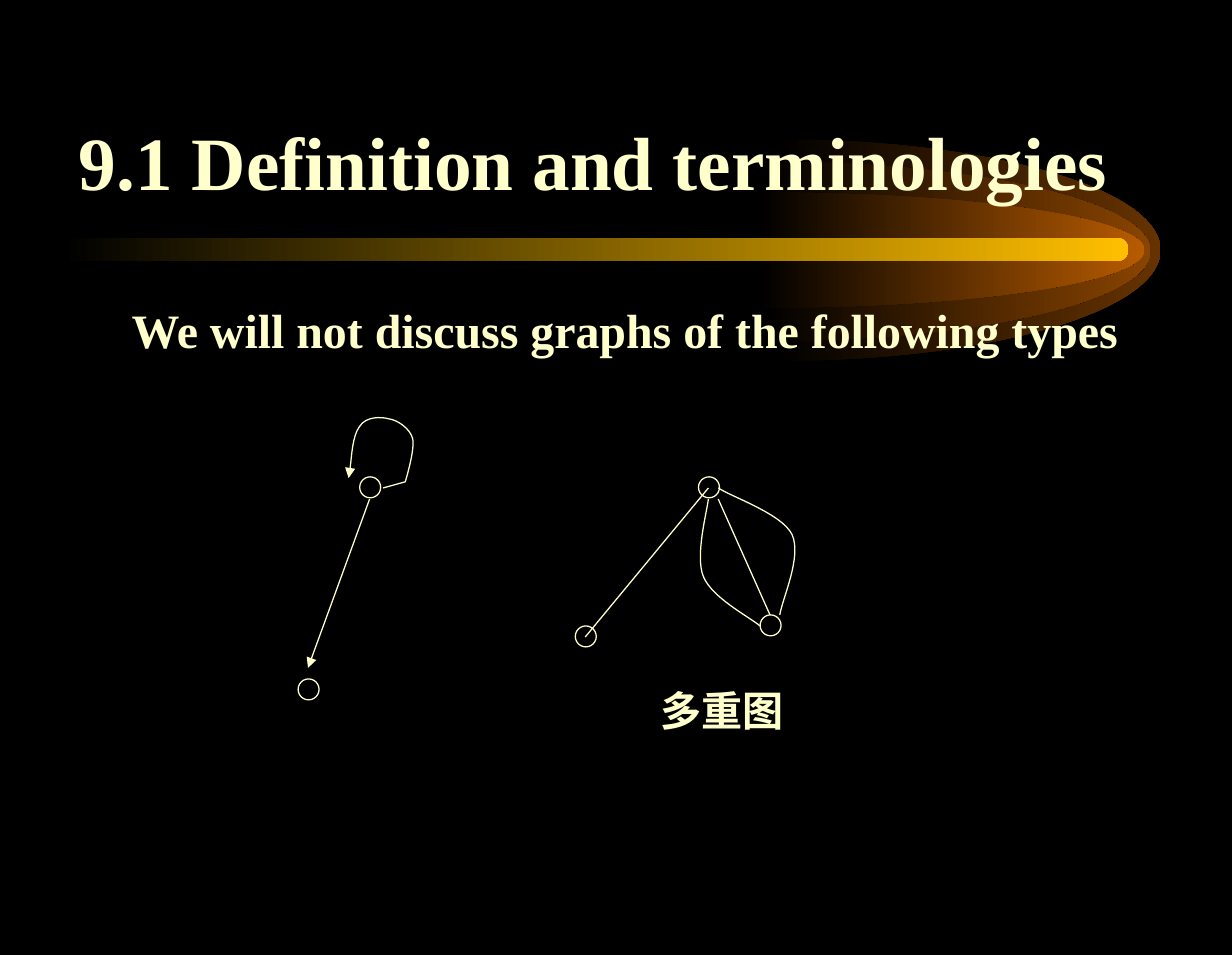
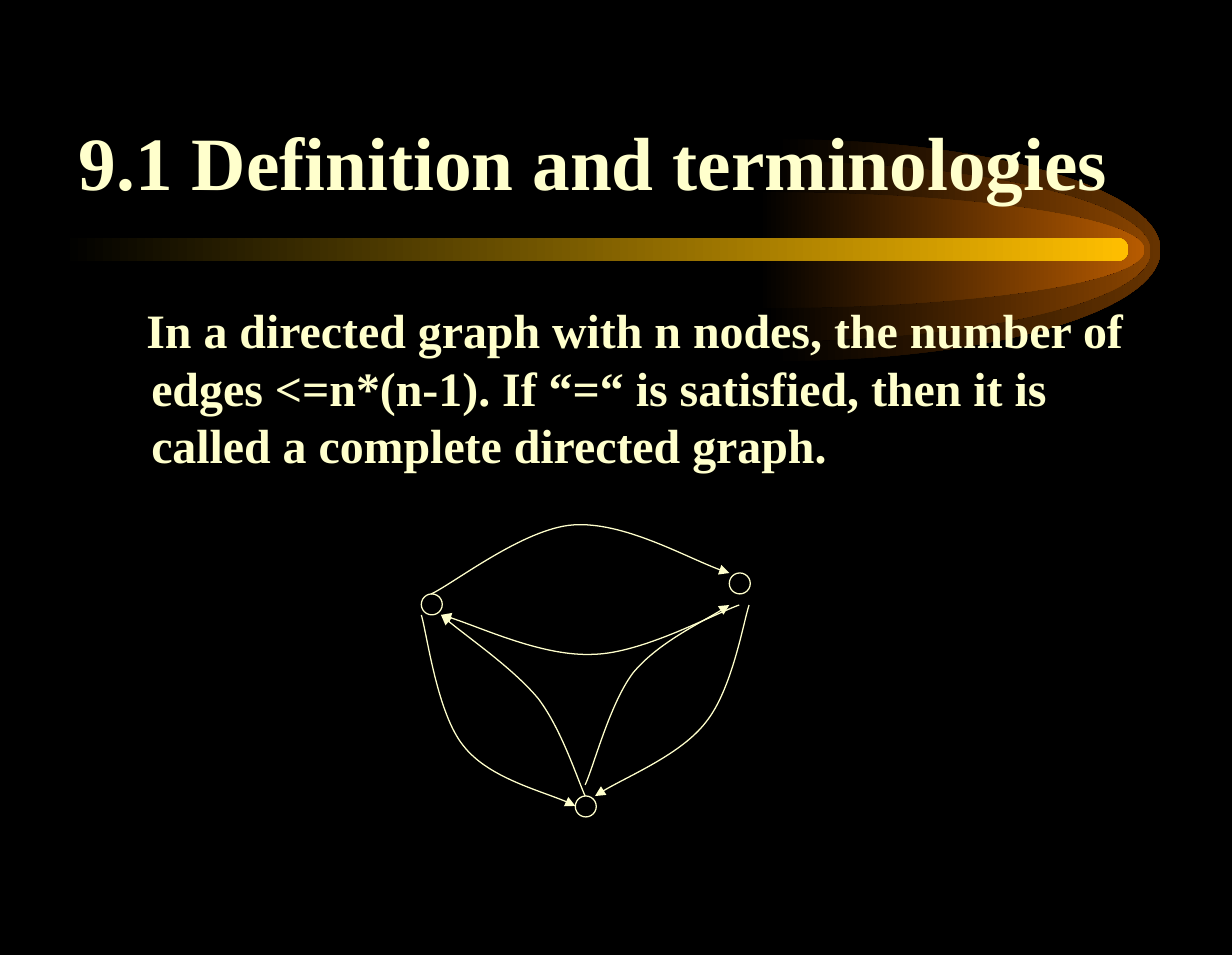
from dataclasses import dataclass

from lxml.etree import SubElement
from pptx import Presentation
from pptx.dml.color import RGBColor
from pptx.enum.shapes import MSO_CONNECTOR, MSO_SHAPE, PP_PLACEHOLDER
from pptx.enum.text import MSO_ANCHOR, MSO_AUTO_SIZE, PP_ALIGN
from pptx.oxml.ns import qn
from pptx.util import Pt

PX = 9144  # EMU per px, 100 px to the inch
NODE_SIZE = 17


@dataclass(frozen=True)
class Theme:
    font: str = "Times New Roman"
    background: RGBColor = RGBColor(0, 0, 0)
    ink: RGBColor = RGBColor(0xFF, 0xFF, 0xCC)
    outer_flame: RGBColor = RGBColor(0x66, 0x33, 0x00)
    middle_flame: RGBColor = RGBColor(0x89, 0x44, 0x00)
    inner_flame: RGBColor = RGBColor(0xB7, 0x5B, 0x00)
    bar: RGBColor = RGBColor(0xFF, 0xBF, 0x00)
    title_size: int = 44
    body_size: int = 28
    body_leading: float = 33.6
    label_size: int = 24
    line_width: float = 0.75


theme = Theme()


def draw_curve(slide, points, close=False):
    """Draw joined cubic Béziers: a start point, then three points per segment."""
    builder = slide.shapes.build_freeform(*points[0], scale=PX)
    builder.add_line_segments(points[1:], close=close)
    shape = builder.convert_to_shape()
    shape.shadow.inherit = False
    segments = list(shape.element.iter(qn("a:lnTo")))
    for curve, *others in zip(segments[::3], segments[1::3], segments[2::3]):
        curve.tag = qn("a:cubicBezTo")
        for other in others:
            curve.append(other[0])
            other.getparent().remove(other)
    return shape


def style_outline(shape, arrow=False):
    shape.line.color.rgb = theme.ink
    shape.line.width = Pt(theme.line_width)
    if arrow:
        SubElement(shape.element.spPr.find(qn("a:ln")), qn("a:tailEnd"), type="triangle")


graph_slides = [
    {
        "body": "We will not discuss graphs of the following types",
        "first_indent": -16,
        "nodes": [(242, 551), (292, 387), (467, 508), (617, 499), (567, 387)],
        "lines": [
            ((300, 405), (250, 542), True),
            ((575, 396), (475, 517), False),
            ((583, 405), (625, 499), False),
        ],
        "curves": [
            ([(311, 396), (311, 396), (329, 391), (329, 391), (329, 391), (337, 365), (335, 356),
              (333, 348), (323, 341), (316, 340), (309, 338), (297, 338), (292, 346),
              (286, 354), (285, 379), (283, 388)], True),
            ([(575, 405), (574, 415), (564, 451), (571, 468),
              (578, 485), (607, 500), (617, 508)], False),
            ([(583, 396), (593, 403), (635, 417), (643, 434),
              (651, 452), (635, 486), (633, 499)], False),
        ],
        "labels": [("多重图", 526, 551, 120, 50)],
    },
    {
        "body": "In a directed graph with n nodes, the number of edges <=n*(n-1). "
                "If “=“ is satisfied, then it is called a complete directed graph.",
        "first_indent": -4,
        "nodes": [(592, 465), (467, 646), (342, 482)],
        "lines": [],
        "curves": [
            ([(350, 482), (369, 473), (425, 429), (465, 426),
              (506, 423), (565, 457), (592, 465)], True),
            ([(600, 491), (580, 498), (522, 530), (482, 531),
              (441, 533), (384, 506), (358, 499)], True),
            ([(342, 499), (347, 517), (355, 579), (376, 605),
              (396, 631), (448, 644), (467, 654)], True),
            ([(475, 646), (469, 633), (456, 592), (437, 567),
              (417, 543), (375, 514), (358, 499)], True),
            ([(475, 637), (482, 622), (495, 571), (514, 546),
              (534, 522), (576, 502), (592, 491)], True),
            ([(608, 491), (603, 507), (594, 560), (573, 586),
              (553, 612), (502, 633), (483, 646)], True),
        ],
        "labels": [],
    },
]

presentation = Presentation()
presentation.slide_width = 1000 * PX
presentation.slide_height = 775 * PX
master_fill = presentation.slide_master.background.fill
master_fill.solid()
master_fill.fore_color.rgb = theme.background

layout = presentation.slide_layouts[5]
for placeholder in list(layout.placeholders):
    if placeholder.placeholder_format.type != PP_PLACEHOLDER.TITLE:
        placeholder.element.getparent().remove(placeholder.element)
slides = [presentation.slides.add_slide(layout) for _ in graph_slides]

# Comet backdrop: drawn once, then moved into the shared layout
backdrop = []
for left, top, half_height, color in (
    (629, 113, 90, theme.outer_flame),
    (621, 131, 73, theme.middle_flame),
    (616, 156, 47, theme.inner_flame),
):
    middle, bottom, right = top + half_height, top + 2 * half_height, left + 313
    bend = round(0.55 * half_height)
    flame = draw_curve(slides[0], [
        (left, top), (left + 173, top), (right, middle - bend), (right, middle),
        (right, middle + bend), (left + 173, bottom), (left, bottom),
    ], close=True)
    backdrop.append((flame, color))
bar = slides[0].shapes.add_shape(
    MSO_SHAPE.ROUNDED_RECTANGLE, 50 * PX, 193 * PX, 866 * PX, 19 * PX)
bar.adjustments[0] = 0.5
bar.shadow.inherit = False
backdrop.append((bar, theme.bar))
for position, (shape, color) in enumerate(backdrop, start=2):
    shape.fill.gradient()
    shape.fill.gradient_angle = 0
    for stop, stop_color in zip(shape.fill.gradient_stops, (theme.background, color)):
        stop.color.rgb = stop_color
    shape.line.fill.background()
    layout.shapes.element.insert(position, shape.element)

for slide, content in zip(slides, graph_slides):
    title = slide.shapes.title
    title.left, title.top, title.width, title.height = (n * PX for n in (39, 43, 886, 129))
    title.text_frame.text = "9.1 Definition and terminologies"
    title.text_frame.vertical_anchor = MSO_ANCHOR.BOTTOM
    title.text_frame.auto_size = MSO_AUTO_SIZE.NONE
    title.text_frame.paragraphs[0].alignment = PP_ALIGN.CENTER

    body = slide.shapes.add_textbox(75 * PX, 233 * PX, 850 * PX, 465 * PX)
    body.text_frame.word_wrap = True
    body.text_frame.margin_top = 11 * PX
    body.text_frame.text = content["body"]
    paragraph = body.text_frame.paragraphs[0]
    paragraph.line_spacing = Pt(theme.body_leading)
    properties = paragraph._p.get_or_add_pPr()
    properties.set("marL", str(38 * PX))
    properties.set("indent", str(content["first_indent"] * PX))

    for left, top in content["nodes"]:
        node = slide.shapes.add_shape(
            MSO_SHAPE.OVAL, left * PX, top * PX, NODE_SIZE * PX, NODE_SIZE * PX)
        node.shadow.inherit = False
        node.fill.background()
        style_outline(node)
    for start, end, arrow in content["lines"]:
        edge = slide.shapes.add_connector(
            MSO_CONNECTOR.STRAIGHT, *(n * PX for n in start + end))
        style_outline(edge, arrow)
        SubElement(edge.element.spPr, qn("a:effectLst"))
    for points, arrow in content["curves"]:
        edge = draw_curve(slide, points)
        edge.fill.background()
        style_outline(edge, arrow)

    texts = [(title, theme.title_size), (body, theme.body_size)]
    for text, *box in content["labels"]:
        label = slide.shapes.add_textbox(*(n * PX for n in box))
        label.text_frame.word_wrap = False
        label.text_frame.auto_size = MSO_AUTO_SIZE.SHAPE_TO_FIT_TEXT
        label.text_frame.text = text
        texts.append((label, theme.label_size))
    for shape, size in texts:
        for run in shape.text_frame.paragraphs[0].runs:
            run.font.name = theme.font
            run.font.size = Pt(size)
            run.font.bold = True
            run.font.color.rgb = theme.ink

presentation.save("out.pptx")
